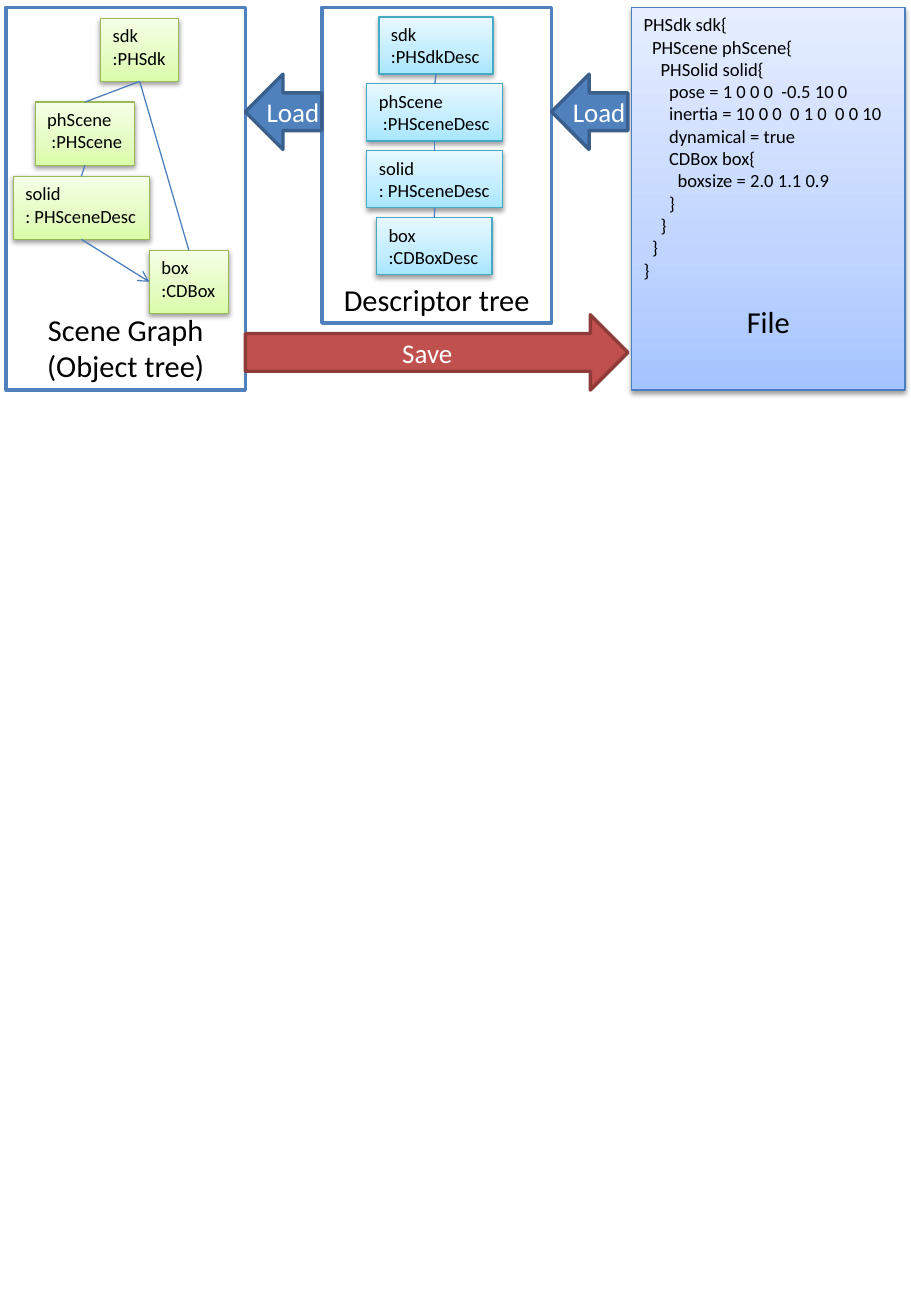
from lxml.etree import SubElement as Sub
from pptx import Presentation
from pptx.dml.color import RGBColor as RGB
from pptx.enum.shapes import MSO_CONNECTOR as Conn, MSO_SHAPE as Geo
from pptx.enum.text import MSO_ANCHOR as Anchor, PP_ALIGN as Align
from pptx.oxml.ns import qn
from pptx.util import Inches, Pt

FONT = "Calibri"
BLACK = RGB(0, 0, 0)
WHITE = RGB(255, 255, 255)
BLUE = RGB(0x4F, 0x81, 0xBD)
NAVY = RGB(0x3A, 0x5F, 0x8C)
LINK = RGB(0x4B, 0x7E, 0xBC)
RED = RGB(0xC0, 0x50, 0x4D)
MAROON = RGB(0x8E, 0x3B, 0x39)
TEAL = RGB(0x46, 0xAA, 0xC5)
GREEN = RGB(0x98, 0xB9, 0x55)
SKY_FADE = ("A7E6FF", "C1EDFF", "E7F8FF")
LIME_FADE = ("DAFDA7", "E4FCC2", "F5FFE7")
FILE_FADE = ("A4C4FF", "BFD4FF", "E6EEFF")
STOPS = (0, 35, 100)
TOP, LEFT, BOTTOM = 0, 1, 2

CODE = [
    (0, "PHSdk sdk{"),
    (1, "PHScene phScene{"),
    (2, "PHSolid solid{"),
    (3, "pose = 1 0 0 0  -0.5 10 0"),
    (3, "inertia = 10 0 0  0 1 0  0 0 10"),
    (3, "dynamical = true"),
    (3, "CDBox box{"),
    (4, "boxsize = 2.0 1.1 0.9"),
    (3, "}"),
    (2, "}"),
    (1, "}"),
    (0, "}"),
]


def write(par, text, size=11, color=BLACK, align=Align.LEFT, depth=0, before=0):
    par.text = text
    par.alignment = align
    par.space_before = Pt(before)
    if depth:
        props = par._p.get_or_add_pPr()
        props.set("marL", str(Inches(0.07 * depth)))
        props.set("indent", "0")
    for run in par.runs:
        run.font.name = FONT
        run.font.size = Pt(size)
        run.font.color.rgb = color


def block(shapes, geo, area, line, width, anchor, wrap=False):
    shape = shapes.add_shape(geo, *map(Inches, area))
    shape.shadow.inherit = False
    shape.line.color.rgb = line
    shape.line.width = Pt(width)
    shape.text_frame.vertical_anchor = anchor
    shape.text_frame.word_wrap = wrap
    return shape


def solid(shapes, geo, area, fill, line, anchor, text, **style):
    shape = block(shapes, geo, area, line, 2, anchor)
    shape.fill.solid()
    shape.fill.fore_color.rgb = fill
    write(shape.text_frame.paragraphs[0], text, align=Align.CENTER, **style)


def faded(shapes, area, fade, line, wrap=False):
    shape = block(shapes, Geo.RECTANGLE, area, line, 0.75, Anchor.TOP, wrap)
    shape.fill.gradient()
    shape.fill.gradient_angle = 90
    props = shape._element.spPr
    stops = props.find(".//" + qn("a:gsLst"))
    for old in list(stops):
        stops.remove(old)
    for pos, color in zip(STOPS, fade):
        stop = Sub(stops, qn("a:gs"), pos=str(pos * 1000))
        Sub(stop, qn("a:srgbClr"), val=color)
    shadow = Sub(props.find(qn("a:effectLst")), qn("a:outerShdw"),
                 blurRad=str(Pt(3.1)), dist=str(Pt(1.6)), dir="5400000",
                 rotWithShape="0")
    tint = Sub(shadow, qn("a:srgbClr"), val="000000")
    Sub(tint, qn("a:alpha"), val="38000")
    return shape


def panel(slide, area, title):
    shapes = slide.shapes.add_group_shape().shapes
    solid(shapes, Geo.RECTANGLE, area, WHITE, BLUE, Anchor.BOTTOM, title, size=18)
    return shapes


def nodes(shapes, rows, top, step, height, fade, line):
    made = []
    for i, (left, width, text) in enumerate(rows):
        node = faded(shapes, (left, top + i * step, width, height), fade, line)
        write(node.text_frame.paragraphs[0], text)
        made.append(node)
    return made


def link(shapes, start, end, side=TOP, arrow=False):
    wire = shapes.add_connector(Conn.STRAIGHT, 0, 0, 0, 0)
    wire.begin_connect(start, BOTTOM)
    wire.end_connect(end, side)
    wire.line.color.rgb = LINK
    wire.line.width = Pt(0.75)
    if arrow:
        Sub(wire.line._get_or_add_ln(), qn("a:tailEnd"), type="arrow")
    Sub(wire._element.spPr, qn("a:effectLst"))


def code_file(slide):
    shape = faded(slide.shapes, (5.2, 0.06, 2.25, 3.15), FILE_FADE, LINK, True)
    frame = shape.text_frame
    for i, (depth, text) in enumerate(CODE):
        par = frame.add_paragraph() if i else frame.paragraphs[0]
        write(par, text, depth=depth)
    write(frame.add_paragraph(), "File", size=18, align=Align.CENTER, before=13.4)


def desc_tree(slide):
    shapes = panel(slide, (2.65, 0.06, 1.89, 2.6), "Descriptor tree")
    rows = [
        (3.12, 0.94, "sdk\v:PHSdkDesc"),
        (3.02, 1.12, "phScene\v :PHSceneDesc"),
        (3.02, 1.12, "solid\v: PHSceneDesc"),
        (3.1, 0.95, "box\v:CDBoxDesc"),
    ]
    made = nodes(shapes, rows, 0.14, 0.55, 0.47, SKY_FADE, TEAL)
    for start, end in zip(made, made[1:]):
        link(shapes, start, end)


def scene_graph(slide):
    shapes = panel(slide, (0.05, 0.06, 1.97, 3.15), "Scene Graph\v(Object tree)")
    rows = [
        (0.83, 0.64, "sdk\v:PHSdk"),
        (0.29, 0.82, "phScene\v :PHScene"),
        (0.11, 1.12, "solid\v: PHSceneDesc"),
        (1.23, 0.65, "box\v:CDBox"),
    ]
    sdk, scene, body, box = nodes(shapes, rows[:1], 0.15, 0, 0.52, LIME_FADE, GREEN) + \
        nodes(shapes, rows[1:], 0.84, 0.61, 0.52, LIME_FADE, GREEN)
    link(shapes, sdk, scene)
    link(shapes, scene, body)
    link(shapes, sdk, box)
    link(shapes, body, box, LEFT, True)


def arrow(slide, geo, area, fill, line, text):
    solid(slide.shapes, geo, area, fill, line, Anchor.MIDDLE, text,
          size=16, color=WHITE)


def main():
    deck = Presentation()
    deck.slide_width, deck.slide_height = Inches(7.5), Inches(10.83)
    slide = deck.slides.add_slide(deck.slide_layouts[6])
    code_file(slide)
    desc_tree(slide)
    scene_graph(slide)
    for left in (2.02, 4.54):
        arrow(slide, Geo.LEFT_ARROW, (left, 0.61, 0.63, 0.62), BLUE, NAVY, "Load")
    arrow(slide, Geo.RIGHT_ARROW, (2.02, 2.59, 3.15, 0.62), RED, MAROON, "Save")
    deck.save("out.pptx")


main()
